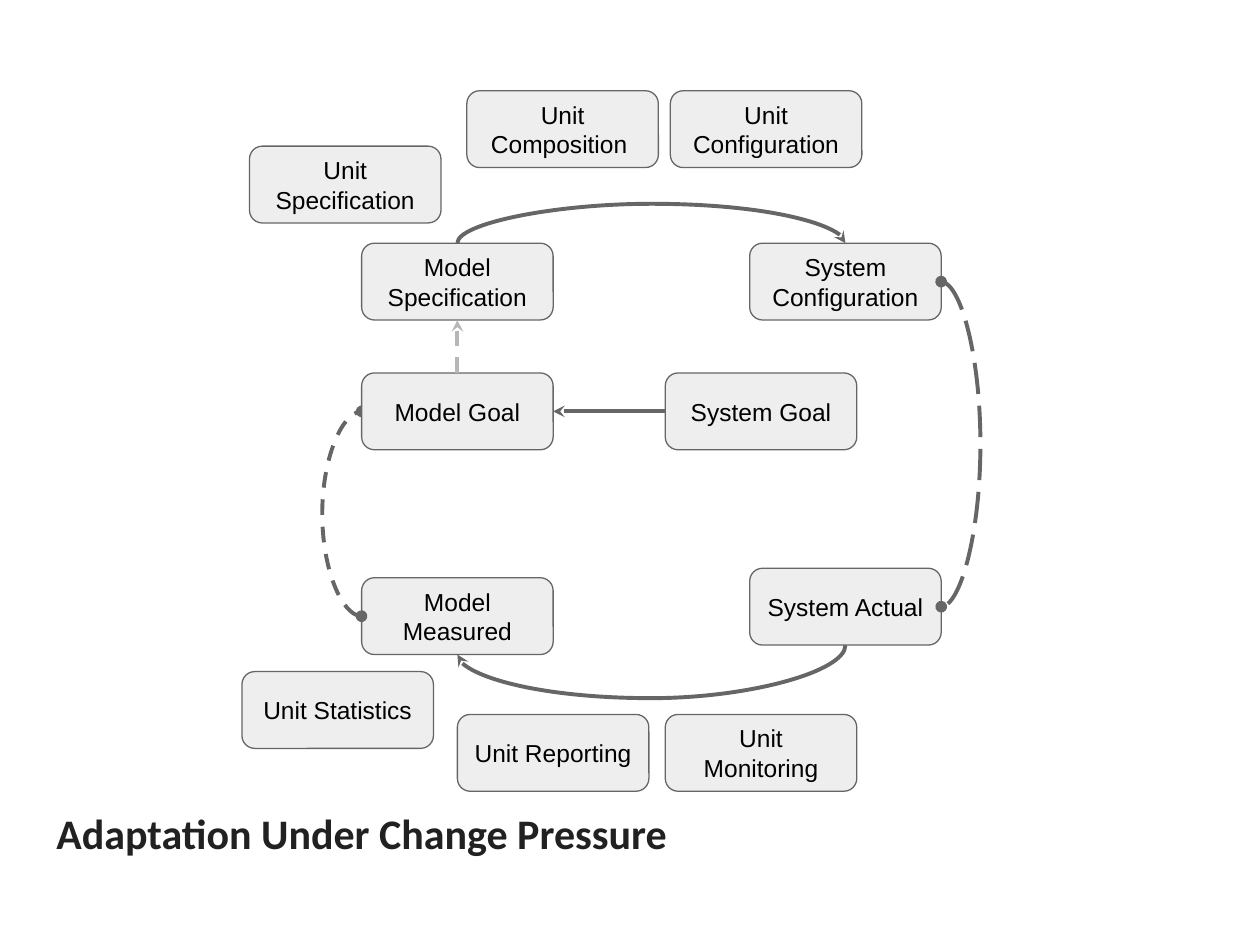
from lxml import etree
from pptx import Presentation
from pptx.dml.color import RGBColor
from pptx.enum.dml import MSO_LINE
from pptx.enum.shapes import MSO_CONNECTOR, MSO_SHAPE
from pptx.enum.text import MSO_ANCHOR, PP_ALIGN
from pptx.oxml.ns import qn
from pptx.util import Inches, Pt

STRAIGHT, CURVE = MSO_CONNECTOR.STRAIGHT, MSO_CONNECTOR.CURVE
ROUNDED = MSO_SHAPE.ROUNDED_RECTANGLE
MIDDLE, CENTER = MSO_ANCHOR.MIDDLE, PP_ALIGN.CENTER
DASH, LONG_DASH = MSO_LINE.DASH, MSO_LINE.LONG_DASH
TOP, LEFT, BOTTOM, RIGHT = range(4)

COLORS = {"title": "212121", "box": "EEEEEE", "line": "666666",
          "faint": "B7B7B7", "text": "000000"}

SLIDE_WIDTH, SLIDE_HEIGHT = Inches(10), Inches(7.5)
COLUMN, ROW = SLIDE_WIDTH / 100, SLIDE_HEIGHT / 75
BOX_COLUMNS, BOX_ROWS = 15.2, 6.1
MIN_DEPTH = 600

STAGES = {
    "Model Specification": (28.7, 19.3),
    "System Actual": (59.5, 45.1),
    "Model Measured": (28.7, 45.85),
    "System Configuration": (59.5, 19.3),
    "Model Goal": (28.7, 29.6),
    "System Goal": (52.8, 29.6),
}
UNITS = {
    "Unit Specification": (19.8, 11.6),
    "Unit Composition ": (37.05, 7.2),
    "Unit Monitoring": (52.8, 56.7),
    "Unit Reporting": (36.3, 56.7),
    "Unit Configuration": (53.2, 7.2),
    "Unit Statistics": (19.2, 53.3),
}


def color(name):
    return RGBColor.from_string(COLORS[name])


def columns(count):
    return round(count * COLUMN)


def rows(count):
    return round(count * ROW)


def write(shape, text, font_name, size, color_name):
    frame = shape.text_frame
    frame.word_wrap = True
    frame.vertical_anchor = MIDDLE
    frame.margin_left = frame.margin_right = columns(1)
    frame.margin_top = frame.margin_bottom = rows(1)
    paragraph = frame.paragraphs[0]
    paragraph.text = text
    paragraph.font.name = font_name
    paragraph.font.size = Pt(size)
    paragraph.font.color.rgb = color(color_name)
    return paragraph


def add_title(slide, text):
    title = slide.shapes.add_textbox(columns(3.5), rows(61.7), columns(65.6), rows(8.7))
    write(title, text, "Calibri", 24, "title").font.bold = True


def add_box(slide, label, column, row):
    box = slide.shapes.add_shape(ROUNDED, columns(column), rows(row),
                                 columns(BOX_COLUMNS), rows(BOX_ROWS))
    box.shadow.inherit = False
    box.fill.solid()
    box.fill.fore_color.rgb = color("box")
    box.line.color.rgb = color("line")
    box.line.width = Pt(0.75)
    write(box, label, "Arial", 14, "text").alignment = CENTER
    return box


def add_link(slide, kind, source, target, color_name="line", dash=None,
             head=None, tail="stealth"):
    link = slide.shapes.add_connector(kind, 0, 0, 0, 0)
    link.begin_connect(*source)
    link.end_connect(*target)
    link.line.color.rgb = color(color_name)
    link.line.width = Pt(2.25)
    if dash:
        link.line.dash_style = dash
    outline = link.line._get_or_add_ln()
    for tag, end in (("a:headEnd", head), ("a:tailEnd", tail)):
        if end:
            etree.SubElement(outline, qn(tag), type=end)
    etree.SubElement(link._element.spPr, qn("a:effectLst"))
    return link


def bend(link, bulge, rotation=0, mirrored=False):
    across, down = abs(link.end_x - link.begin_x), abs(link.end_y - link.begin_y)
    center_x = (link.begin_x + link.end_x) / 2
    center_y = (link.begin_y + link.end_y) / 2
    depth, span = (down, across) if rotation in (90, 270) else (across, down)
    depth = max(depth, MIN_DEPTH)
    link.left, link.top = round(center_x - depth / 2), round(center_y - span / 2)
    link.width, link.height = depth, span

    properties = link._element.spPr
    transform = properties.find(qn("a:xfrm"))
    transform.attrib.pop("flipV", None)
    transform.set("flipH", "1" if mirrored else "0")
    transform.set("rot", str(rotation * 60000))
    guides = properties.find(qn("a:prstGeom")).get_or_add_avLst()
    etree.SubElement(guides, qn("a:gd"), name="adj1",
                     fmla=f"val {round(bulge / depth * 100000)}")


def bring_to_front(shape):
    shape._element.getparent().append(shape._element)


def main():
    presentation = Presentation()
    presentation.slide_width, presentation.slide_height = SLIDE_WIDTH, SLIDE_HEIGHT
    slide = presentation.slides.add_slide(presentation.slide_layouts[6])

    add_title(slide, "Adaptation Under Change Pressure")
    stages = {label: add_box(slide, label, *cell) for label, cell in STAGES.items()}
    specification, actual, measured, configuration, model_goal, system_goal = stages.values()

    deploy = add_link(slide, CURVE, (specification, TOP), (configuration, TOP))
    bend(deploy, -columns(2.6), 270, True)
    drift = add_link(slide, CURVE, (configuration, RIGHT), (actual, RIGHT),
                     dash=LONG_DASH, head="oval", tail="oval")
    bend(drift, columns(2.6))
    measure = add_link(slide, CURVE, (actual, BOTTOM), (measured, BOTTOM))
    bend(measure, rows(4.2), 90)
    compare = add_link(slide, CURVE, (measured, LEFT), (model_goal, LEFT),
                       dash=DASH, head="oval", tail="oval")
    bend(compare, -columns(2.6), 180, True)

    bring_to_front(model_goal)
    add_link(slide, STRAIGHT, (model_goal, TOP), (specification, BOTTOM), "faint", DASH)
    add_link(slide, STRAIGHT, (system_goal, LEFT), (model_goal, RIGHT))

    for label, cell in UNITS.items():
        add_box(slide, label, *cell)

    presentation.save("out.pptx")


if __name__ == "__main__":
    main()
